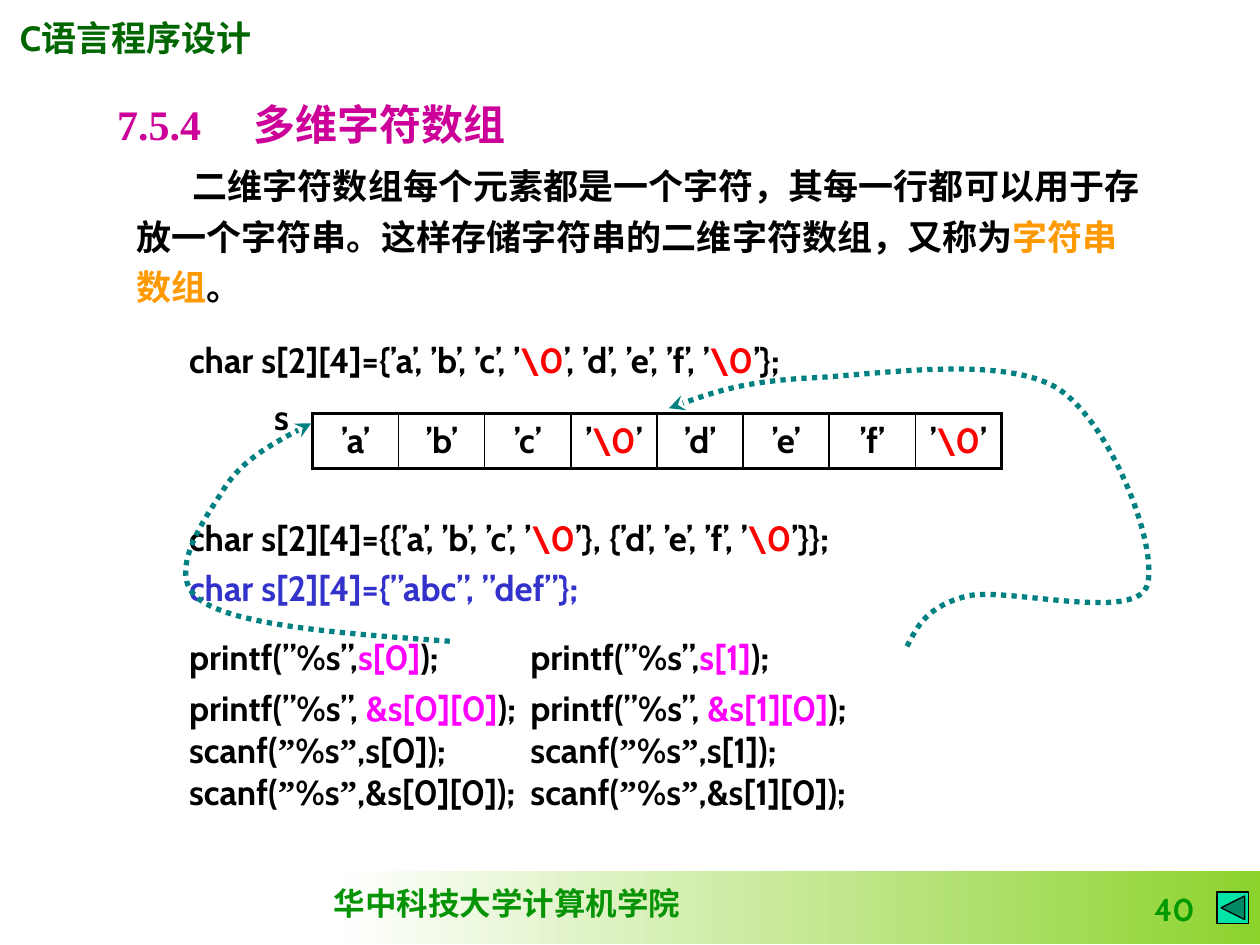
from lxml import etree
from pptx import Presentation
from pptx.dml.color import RGBColor
from pptx.enum.dml import MSO_LINE
from pptx.enum.shapes import MSO_SHAPE
from pptx.enum.text import MSO_ANCHOR, MSO_AUTO_SIZE, PP_ALIGN
from pptx.oxml.ns import qn
from pptx.util import Inches, Pt

LEFT, CENTER, RIGHT = PP_ALIGN.LEFT, PP_ALIGN.CENTER, PP_ALIGN.RIGHT
TOP, MIDDLE, BOTTOM = MSO_ANCHOR.TOP, MSO_ANCHOR.MIDDLE, MSO_ANCHOR.BOTTOM
NO_FIT = MSO_AUTO_SIZE.NONE
DOTTED = MSO_LINE.ROUND_DOT
RECTANGLE = MSO_SHAPE.RECTANGLE
BACK_BUTTON = MSO_SHAPE.ACTION_BUTTON_BACK_OR_PREVIOUS

SANS, SERIF = "Cabin", "Times New Roman"
BLACK, RED, MAGENTA = "000000", "FF0000", "FF00FF"

TITLE = "7.5.4 　多维字符数组"
BODY = ("二维字符数组每个元素都是一个字符，其每一行都可以用于存放一个字符串。"
        "这样存储字符串的二维字符数组，又称为|字符串数组|。")
DECLARATIONS = [
    (0.98, 2.57, "char s[2][4]={’a’, ’b’, ’c’, ’|\\0|’, ’d’, ’e’, ’f’, ’|\\0|’};", BLACK),
    (0.98, 3.98, "char s[2][4]={{’a’, ’b’, ’c’, ’|\\0|’}, {’d’, ’e’, ’f’, ’|\\0|’}};", BLACK),
    (0.83, 4.38, "char s[2][4]={”abc”, ”def”};", "3333CC"),
]
CALLS = [
    ("printf(”%s”,|s[0]|);\tprintf(”%s”,|s[1]|);", dict(mark_color=MAGENTA, spacing=1.2)),
    ("printf(”%s”, |&s[0][0]|);\tprintf(”%s”, |&s[1][0]|);", dict(mark_color=MAGENTA, spacing=1.2)),
    ("scanf(|”|%s|”|,s[0]);\tscanf(|”|%s|”|,s[1]);", dict(mark_font=SERIF)),
    ("scanf(|”|%s|”|,&s[0][0]);\tscanf(|”|%s|”|,&s[1][0]);", dict(mark_font=SERIF)),
]
CELLS = ["’a’", "’b’", "’c’", "’|\\0|’", "’d’", "’e’", "’f’", "’|\\0|’"]
ARROW_CURVES = [
    [(3.57, 5.09), (2.74, 5.03), (1.9, 4.97), (1.6, 4.77), (1.3, 4.58),
     (1.61, 4.14), (1.76, 3.91), (1.9, 3.67), (2.18, 3.51), (2.47, 3.36)],
    [(7.2, 5.13), (7.28, 4.97), (7.36, 4.81), (7.68, 4.73), (7.99, 4.66),
     (8.98, 4.93), (9.1, 4.66), (9.21, 4.38), (8.83, 3.36), (8.39, 3.08),
     (7.94, 2.81), (6.93, 2.98), (6.42, 3), (5.9, 3.03), (5.61, 3.13), (5.31, 3.24)],
]
CODE_X = 1.5
SECOND_CALL_X = 4.21


def rgb(color):
    return RGBColor.from_string(color)


def place(shape, left, top, width, height):
    shape.left, shape.top = Inches(left), Inches(top)
    shape.width, shape.height = Inches(width), Inches(height)


def write(paragraph, text, size=20, font=SANS, color=BLACK, mark_color=None,
          mark_font=None, align=LEFT, spacing=1.0):
    paragraph.alignment = align
    paragraph.line_spacing = spacing
    paragraph.space_before = Pt(0)
    for index, part in enumerate(text.split("|")):
        marked = index % 2 == 1
        run = paragraph.add_run()
        run.text = part
        run.font.size = Pt(size)
        run.font.bold = True
        run.font.name = mark_font if marked and mark_font else font
        run.font.color.rgb = rgb(mark_color if marked and mark_color else color)


def set_frame(shape, anchor=TOP, left_margin=0.1, wrap=True):
    frame = shape.text_frame
    frame.auto_size = NO_FIT
    frame.word_wrap = wrap
    frame.vertical_anchor = anchor
    frame.margin_left = Inches(left_margin)
    return frame


def add_text(slide, box, text, anchor=TOP, left_margin=0.1, wrap=True, **style):
    shape = slide.shapes.add_textbox(*map(Inches, box))
    frame = set_frame(shape, anchor, left_margin, wrap)
    write(frame.paragraphs[0], text, **style)
    return frame


def add_footer(slide):
    band = slide.shapes.add_shape(RECTANGLE, *map(Inches, (2.67, 6.91, 7.33, 0.58)))
    band.shadow.inherit = False
    band.line.fill.background()
    band.fill.gradient()
    band.fill.gradient_angle = 0
    for stop, color in zip(band.fill.gradient_stops, ("FFFFFF", "8CD32D")):
        stop.color.rgb = rgb(color)
    add_text(slide, (2.55, 6.97, 2.95, 0.4), "华中科技大学计算机学院", wrap=False,
             size=18, font=SERIF, color="069406")
    add_text(slide, (7.5, 6.95, 2.08, 0.46), "40", anchor=BOTTOM,
             size=18, color="009900", align=RIGHT)
    button = slide.shapes.add_shape(BACK_BUTTON, *map(Inches, (9.66, 7.08, 0.25, 0.25)))
    button.shadow.inherit = False
    button.fill.solid()
    button.fill.fore_color.rgb = rgb("00E4A8")
    button.line.color.rgb = rgb(BLACK)
    button.line.width = Pt(0.75)


def add_border(cell, position, side, width):
    line = etree.Element(qn("a:" + side), w=str(Pt(width)))
    fill = etree.SubElement(line, qn("a:solidFill"))
    etree.SubElement(fill, qn("a:srgbClr"), val=BLACK)
    cell._tc.get_or_add_tcPr().insert(position, line)


def add_array(slide):
    last = len(CELLS) - 1
    table = slide.shapes.add_table(1, len(CELLS), *map(Inches, (2.48, 3.28, 5.47, 0.43))).table
    table.first_row = table.horz_banding = False
    for column, text in enumerate(CELLS):
        cell = table.cell(0, column)
        cell.fill.background()
        cell.vertical_anchor = MIDDLE
        write(cell.text_frame.paragraphs[0], text, mark_color=RED, align=CENTER)
        widths = {"lnL": 1 if column else 2.25, "lnR": 1 if column < last else 2.25,
                  "lnT": 2.25, "lnB": 2.25}
        for position, (side, width) in enumerate(widths.items()):
            add_border(cell, position, side, width)


def add_curved_arrow(slide, points):
    start, *rest = [(Inches(x), Inches(y)) for x, y in points]
    builder = slide.shapes.build_freeform(*start)
    builder.add_line_segments(rest, close=False)
    arrow = builder.convert_to_shape()
    arrow.shadow.inherit = False
    arrow.fill.background()
    arrow.line.color.rgb = rgb("008080")
    arrow.line.width = Pt(3)
    arrow.line.dash_style = DOTTED
    etree.SubElement(arrow.line._get_or_add_ln(), qn("a:tailEnd"), type="stealth")
    segments = list(arrow._element.iter(qn("a:lnTo")))
    for first in range(0, len(segments), 3):
        curve = etree.Element(qn("a:cubicBezTo"))
        segments[first].addprevious(curve)
        for segment in segments[first:first + 3]:
            curve.append(segment[0])
            segment.getparent().remove(segment)


def add_calls(slide):
    left = 0.83
    shape = slide.shapes.add_textbox(*map(Inches, (left, 4.93, 8.19, 1.57)))
    frame = set_frame(shape, left_margin=CODE_X - left)
    for index, (text, style) in enumerate(CALLS):
        paragraph = frame.add_paragraph() if index else frame.paragraphs[0]
        tabs = etree.SubElement(paragraph._p.get_or_add_pPr(), qn("a:tabLst"))
        etree.SubElement(tabs, qn("a:tab"), pos=str(Inches(SECOND_CALL_X - CODE_X)), algn="l")
        write(paragraph, text, **style)


def main():
    presentation = Presentation()
    presentation.slide_width, presentation.slide_height = Inches(10), Inches(7.5)
    slide = presentation.slides.add_slide(presentation.slide_layouts[1])
    title, body = slide.placeholders

    add_footer(slide)
    add_text(slide, (0.06, 0.08, 2.05, 0.43), "C|语言程序设计",
             color="006600", mark_font=SERIF)

    place(title, 0.83, 0.73, 5.51, 0.5)
    write(set_frame(title).paragraphs[0], TITLE, size=24, font=SERIF, color="CC0099")

    place(body, 0.98, 1.19, 8.19, 1.3)
    paragraph = set_frame(body).paragraphs[0]
    properties = paragraph._p.get_or_add_pPr()
    properties.set("marL", "0")
    properties.set("indent", str(Inches(0.45)))
    etree.SubElement(properties, qn("a:buNone"))
    write(paragraph, BODY, mark_color="FF9900", spacing=1.2)

    for left, top, text, color in DECLARATIONS:
        add_text(slide, (left, top, 8.19, 0.5), text, left_margin=CODE_X - left,
                 color=color, mark_color=RED, spacing=1.2)
    add_array(slide)
    add_text(slide, (2.04, 3.09, 0.39, 0.43), "s", align=CENTER)
    add_calls(slide)
    for points in ARROW_CURVES:
        add_curved_arrow(slide, points)
    presentation.save("out.pptx")


if __name__ == "__main__":
    main()
